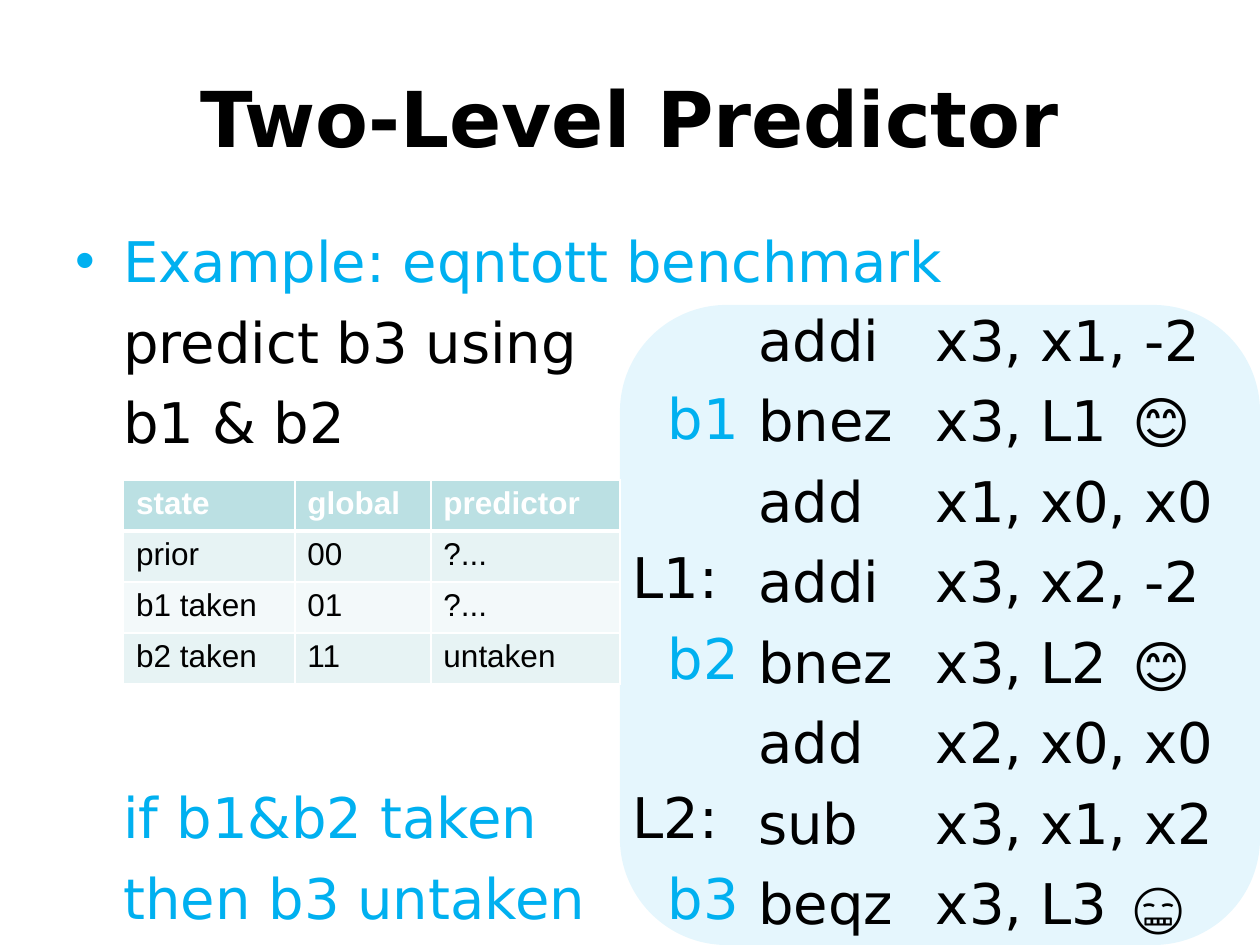
from lxml import etree
from pptx import Presentation
from pptx.dml.color import RGBColor
from pptx.enum.shapes import MSO_SHAPE
from pptx.enum.text import MSO_ANCHOR, MSO_AUTO_SIZE, PP_ALIGN
from pptx.oxml.ns import qn
from pptx.util import Inches, Pt

ROUNDED = MSO_SHAPE.ROUNDED_RECTANGLE
MIDDLE = MSO_ANCHOR.MIDDLE
TOP = MSO_ANCHOR.TOP
NO_FIT = MSO_AUTO_SIZE.NONE
CENTER = PP_ALIGN.CENTER
LEFT = PP_ALIGN.LEFT

COLORS = {
    "black": "000000",
    "white": "FFFFFF",
    "accent": "00B0F0",
    "header": "BBE0E3",
    "odd": "E7F3F4",
    "even": "F3F9FA",
}
TEXT_FONT = "DejaVu Sans"
TABLE_FONT = "Arial"
TEXT_TOP = 1.75
LINE_PITCH = 44.9
LINE_GAP = 7.6
INDENT = 0.38

LABELS = [
    (2, "b1", "accent", 0.28),
    (4, "L1:", "black", 0),
    (5, "b2", "accent", 0.28),
    (7, "L2:", "black", 0),
    (8, "b3", "accent", 0.28),
]
OPCODES = ["addi", "bnez", "add", "addi", "bnez", "add", "sub", "beqz"]
OPERANDS = ["x3, x1, -2", "x3, L1", "x1, x0, x0", "x3, x2, -2",
            "x3, L2", "x2, x0, x0", "x3, x1, x2", "x3, L3"]
BODY_LINES = [
    (0, "Example: eqntott benchmark", "accent", INDENT),
    (1, "predict b3 using", "black", INDENT),
    (2, "b1 & b2", "black", INDENT),
    (7, "if b1&b2 taken", "accent", INDENT),
    (8, "then b3 untaken", "accent", INDENT),
]
STATES = [
    ["state", "global", "predictor"],
    ["prior", "00", "?..."],
    ["b1 taken", "01", "?..."],
    ["b2 taken", "11", "untaken"],
]
COLUMN_WIDTHS = [1.36, 1.08, 1.5]
FACES = [(3.03, "😊"), (4.96, "😊"), (6.87, "😬")]


def rgb(name):
    return RGBColor.from_string(COLORS[name])


def add_span(para, text, size, color, font=TEXT_FONT, bold=False):
    span = para.add_run()
    span.text = text
    span.font.name = font
    span.font.size = Pt(size)
    span.font.bold = bold
    span.font.color.rgb = rgb(color)


def set_bullet(para, margin, char=None):
    properties = para._p.get_or_add_pPr()
    properties.set("marL", str(Inches(margin)))
    properties.set("indent", str(-Inches(margin) if char else 0))
    if char:
        etree.SubElement(properties, qn("a:buChar")).set("char", char)
    else:
        etree.SubElement(properties, qn("a:buNone"))


def fill_lines(frame, lines, bullet=None):
    frame.word_wrap = True
    frame.auto_size = NO_FIT
    frame.vertical_anchor = TOP
    previous = None
    for row, text, color, margin in lines:
        first = previous is None
        para = frame.paragraphs[0] if first else frame.add_paragraph()
        set_bullet(para, margin, bullet if first else None)
        para.alignment = LEFT
        skipped = 0 if first else row - previous - 1
        para.space_before = Pt(0 if first else LINE_GAP + skipped * LINE_PITCH)
        add_span(para, text, 32, color)
        previous = row


def place(shape, left, top, width, height):
    shape.left, shape.top = Inches(left), Inches(top)
    shape.width, shape.height = Inches(width), Inches(height)


def add_column(page, left, width, lines):
    top = TEXT_TOP + lines[0][0] * LINE_PITCH / 72
    box = page.shapes.add_textbox(
        Inches(left), Inches(top), Inches(width), Inches(7.5 - top))
    fill_lines(box.text_frame, lines)


def add_face(page, top, face):
    box = page.shapes.add_textbox(
        Inches(8.89), Inches(top), Inches(0.72), Inches(0.67))
    fill_lines(box.text_frame, [(0, face, "black", 0)])


def add_panel(page, behind):
    panel = page.shapes.add_shape(
        ROUNDED, Inches(4.92), Inches(2.42), Inches(5.08), Inches(5.08))
    panel.shadow.inherit = False
    panel.fill.solid()
    panel.fill.fore_color.rgb = rgb("accent")
    color = panel._element.spPr.find(qn("a:solidFill"))[0]
    etree.SubElement(color, qn("a:alpha")).set("val", "10000")
    panel.line.fill.background()
    behind._element.addprevious(panel._element)


def set_borders(cell, bottom):
    properties = cell._tc.get_or_add_tcPr()
    for side, width in (("L", 1), ("R", 1), ("T", 1), ("B", bottom)):
        line = etree.SubElement(properties, qn("a:ln" + side))
        line.set("w", str(Pt(width)))
        fill = etree.SubElement(line, qn("a:solidFill"))
        etree.SubElement(fill, qn("a:srgbClr")).set("val", COLORS["white"])


def add_state_table(page):
    frame = page.shapes.add_table(
        len(STATES), len(COLUMN_WIDTHS), Inches(0.98), Inches(3.81),
        Inches(sum(COLUMN_WIDTHS)), Inches(1.62))
    table = frame.table
    for column, width in zip(table.columns, COLUMN_WIDTHS):
        column.width = Inches(width)
    for row, texts in enumerate(STATES):
        header = row == 0
        shade = "header" if header else ("odd" if row % 2 else "even")
        for column, text in enumerate(texts):
            cell = table.cell(row, column)
            set_borders(cell, 3 if header else 1)
            cell.fill.solid()
            cell.fill.fore_color.rgb = rgb(shade)
            add_span(cell.text_frame.paragraphs[0], text, 18,
                     "white" if header else "black", TABLE_FONT, header)


def fill_title(title):
    place(title, 0, 0.3, 10, 1.25)
    frame = title.text_frame
    frame.auto_size = NO_FIT
    frame.vertical_anchor = MIDDLE
    para = frame.paragraphs[0]
    para.alignment = CENTER
    add_span(para, "Two-Level Predictor", 44, "black", bold=True)


def main():
    deck = Presentation()
    deck.slide_width, deck.slide_height = Inches(10), Inches(7.5)
    page = deck.slides.add_slide(deck.slide_layouts[1])
    title, body = page.placeholders
    fill_title(title)
    place(body, 0.5, TEXT_TOP, 9.5, 4.95)
    fill_lines(body.text_frame, BODY_LINES, "•")
    add_panel(page, title)
    add_column(page, 4.92, 1.1, LABELS)
    for left, width, texts in ((5.92, 1.4, OPCODES), (7.33, 2.67, OPERANDS)):
        add_column(page, left, width, [
            (row, text, "black", 0) for row, text in enumerate(texts, 1)])
    for top, face in FACES:
        add_face(page, top, face)
    add_state_table(page)
    deck.save("out.pptx")


if __name__ == "__main__":
    main()
